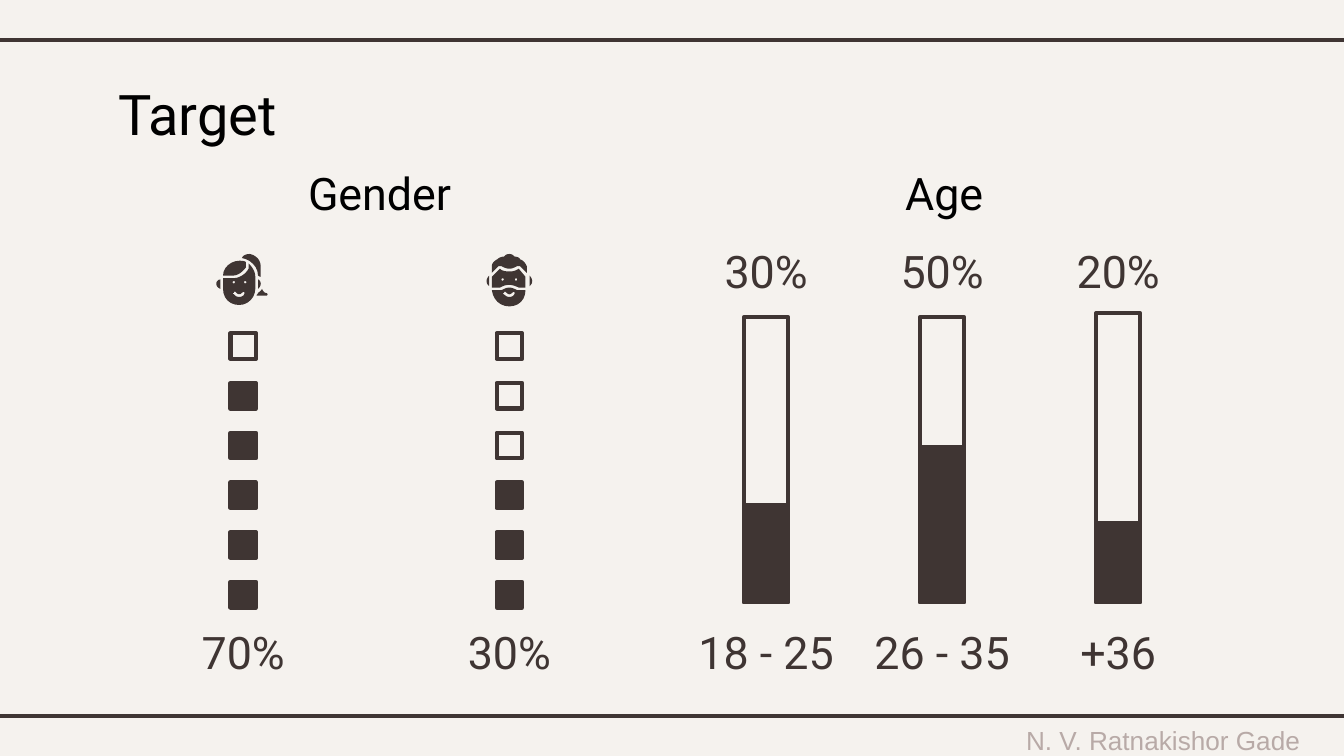
"""Build a slide on the target audience by gender and age."""
from math import cos, pi, sin

from pptx import Presentation
from pptx.dml.color import RGBColor
from pptx.enum.shapes import MSO_CONNECTOR, MSO_SHAPE
from pptx.enum.text import MSO_ANCHOR, PP_ALIGN
from pptx.oxml.ns import qn
from pptx.util import Inches, Pt

LINE, RECT = MSO_CONNECTOR.STRAIGHT, MSO_SHAPE.RECTANGLE
TOP, MIDDLE = MSO_ANCHOR.TOP, MSO_ANCHOR.MIDDLE
LEFT, CENTER = PP_ALIGN.LEFT, PP_ALIGN.CENTER

THEME = {
    "paper": RGBColor(0xF5, 0xF2, 0xEE),
    "ink": RGBColor(0x3F, 0x35, 0x33),
    "heading": RGBColor(0, 0, 0),
    "muted": RGBColor(0xB8, 0xAA, 0xA7),
    "font": "Roboto",
    "footer_font": "Arial",
    "title": 30,
    "label": 24,
    "footer": 14,
    "line": 2.25,
}

WIDTH = 10
HEIGHT = WIDTH * 9 / 16

TITLE = "Target"
FOOTER = "N. V. Ratnakishor Gade"
HEADINGS = [("Gender", 1.31), ("Age", 5.51)]
RULES, OVERHANG = [0.3, 5.33], 0.08

WOMAN = {
    "left": 1.61,
    "outlines": [
        "M 25 0 C 22 0 20 1 19 3 C 25 4 31 9 31 16 C 32 17 33 17 33 17 L 33 9 C 33 5 30 1 25 0",
        "M 34 26 C 33 28 32 28 31 29 C 31 30 30 30 30 31 L 37 31 C 39 31 38 29 37 29 C 36 29 35 28 34 26",
        "M 17 5 C 11 5 5 10 5 16 L 13 16 C 16 16 20 13 22 10 C 22 9 22 7 22 6 C 21 5 19 5 17 5",
        "M 31 19 L 31 26 C 32 25 33 24 33 22 C 33 21 32 19 31 19",
        "M 3 19 C 1 19 0 21 0 22 C 0 24 1 25 3 26",
    ],
    "eyed": "M 24 7 C 24 9 24 10 24 11 C 22 15 17 18 13 18 L 5 18 L 5 26 "
            "C 5 33 10 38 17 38 C 24 38 29 32 29 26 L 29 17 C 29 13 27 10 24 7",
    "eyes": [(13, 21), (21.5, 21)],
    "smiling": None,
}
MAN = {
    "left": 3.62,
    "outlines": [
        "M 2 16 C 1 17 0 19 0 20 C 0 22 1 23 2 24",
        "M 17 0 C 15 0 14 1 13 2 C 11 2 9 3 8 4 C 6 5 4 7 4 9 L 4 14 L 9 9 C 10 9 11 9 11 9 "
        "C 13 10 15 11 17 11 C 19 11 21 10 23 9 C 23 9 24 9 25 9 L 30 14 L 30 9 "
        "C 29 7 28 5 25 4 C 25 3 23 2 21 2 C 20 1 19 0 17 0",
        "M 32 16 L 32 24 C 33 23 34 22 34 20 C 34 19 33 17 32 16",
    ],
    "eyed": "M 10 11 L 4 17 L 4 25 L 10 25 C 12 24 14 23 17 23 C 19 23 22 24 24 25 "
            "L 29 25 L 29 17 L 24 11 C 21 13 19 13 17 13 C 15 13 12 13 10 11",
    "eyes": [(12, 19), (22, 19)],
    "smiling": "M 17 25 C 15 25 13 26 11 27 L 4 27 C 5 34 10 39 17 39 "
               "C 24 39 29 34 29 27 L 23 27 C 21 26 19 25 17 25",
}
SMILE = ("M 21 29 C 21 30 20 32 17 32 C 15 32 14 31 13 30 C 12 30 12 29 13 29 "
         "C 13 28 14 28 14 28 C 15 29 16 30 17 30 C 18 30 19 29 19 29 C 20 28 21 28 21 29")
ICON_TOP = 1.89

GENDERS = [("70%", 1.81, 5, WOMAN), ("30%", 3.79, 3, MAN)]
SQUARES, SQUARE, SQUARE_PITCH, SQUARE_BOTTOM = 6, 0.19, 0.37, 4.33

AGES = [("18 - 25", "30%", 2.12, 0.72), ("26 - 35", "50%", 2.12, 1.15), ("+36", "20%", 2.15, 0.59)]
AGE_X, AGE_PITCH, BAR, BAR_BASE = 5.7, 1.31, 0.33, 4.48


def write(s, text, size, color, font, align=CENTER, anchor=MIDDLE, inset=0.1):
    tf = s.text_frame
    tf.text = text
    tf.word_wrap = True
    tf.vertical_anchor = anchor
    tf.margin_left = tf.margin_right = tf.margin_top = tf.margin_bottom = Inches(inset)
    p = tf.paragraphs[0]
    p.alignment = align
    f = p.runs[0].font
    f.name, f.size, f.color.rgb = font, Pt(size), color


def add_label(slide, text, left, top, width, height, color):
    s = slide.shapes.add_textbox(Inches(left), Inches(top), Inches(width), Inches(height))
    write(s, text, THEME["label"], color, THEME["font"])


def add_box(slide, left, top, width, height, filled):
    s = slide.shapes.add_shape(RECT, Inches(left), Inches(top), Inches(width), Inches(height))
    s.shadow.inherit = False
    if filled:
        s.fill.solid()
        s.fill.fore_color.rgb = THEME["ink"]
    else:
        s.fill.background()
    s.line.color.rgb = THEME["ink"]
    s.line.width = Pt(THEME["line"])


def flatten(outline, steps=6):
    tokens = iter(outline.split())
    points = []
    for command in tokens:
        ends = [(float(next(tokens)), float(next(tokens))) for _ in range(3 if command == "C" else 1)]
        if command == "C":
            curve = [points[-1], *ends]
            for i in range(1, steps + 1):
                t = i / steps
                weights = ((1 - t) ** 3, 3 * t * (1 - t) ** 2, 3 * t * t * (1 - t), t ** 3)
                points.append(tuple(sum(w * c[k] for w, c in zip(weights, curve)) for k in (0, 1)))
        else:
            points += ends
    return points


def circle(x, y, radius=0.9, sides=12):
    return [(x + radius * cos(2 * pi * i / sides), y + radius * sin(2 * pi * i / sides)) for i in range(sides)]


def add_icon(slide, icon):
    parts = [[flatten(outline)] for outline in icon["outlines"]]
    face = [flatten(icon["eyed"])] + [circle(x, y) for x, y in icon["eyes"]]
    parts.append(face)
    if icon["smiling"]:
        parts.append([flatten(icon["smiling"]), flatten(SMILE)])
    else:
        face.append(flatten(SMILE))
    group = slide.shapes.add_group_shape()
    for contours in parts:
        scaled = [[(x * 100, y * 100) for x, y in c] for c in contours]
        builder = group.shapes.build_freeform(*scaled[0][0], scale=Inches(1) / 10000)
        builder.add_line_segments(scaled[0][1:], close=True)
        for hole in scaled[1:]:
            builder.move_to(*hole[0])
            builder.add_line_segments(hole[1:], close=True)
        s = builder.convert_to_shape(Inches(icon["left"]), Inches(ICON_TOP))
        s.shadow.inherit = False
        s.fill.solid()
        s.fill.fore_color.rgb = THEME["ink"]
        s.line.fill.background()


def main():
    prs = Presentation()
    prs.slide_width, prs.slide_height = Inches(WIDTH), Inches(HEIGHT)
    slide = prs.slides.add_slide(prs.slide_layouts[5])
    slide.background.fill.solid()
    slide.background.fill.fore_color.rgb = THEME["paper"]

    s = slide.shapes.add_textbox(Inches(7.31), Inches(5.41), Inches(2.69), Inches(0.19))
    write(s, FOOTER, THEME["footer"], THEME["muted"], THEME["footer_font"], inset=0)
    for y in RULES:
        c = slide.shapes.add_connector(LINE, Inches(-OVERHANG), Inches(y), Inches(WIDTH + OVERHANG), Inches(y))
        c.line.color.rgb = THEME["ink"]
        c.line.width = Pt(THEME["line"])
        c._element.spPr.append(c._element.makeelement(qn("a:effectLst"), {}))

    title = slide.shapes.title
    title.left, title.top, title.width, title.height = map(Inches, (0.78, 0.49, 8.44, 0.63))
    write(title, TITLE, THEME["title"], THEME["heading"], THEME["font"], LEFT, TOP)
    for text, left in HEADINGS:
        add_label(slide, text, left, 1.24, 3.03, 0.39, THEME["heading"])

    for share, x, filled, icon in GENDERS:
        add_icon(slide, icon)
        for i in range(SQUARES):
            add_box(slide, x - SQUARE / 2, SQUARE_BOTTOM - i * SQUARE_PITCH, SQUARE, SQUARE, i < filled)
        add_label(slide, share, x - 0.67, 4.65, 1.34, 0.39, THEME["ink"])

    for i, (age, share, height, level) in enumerate(AGES):
        x = AGE_X + i * AGE_PITCH
        for h, filled in ((height, False), (level, True)):
            add_box(slide, x - BAR / 2, BAR_BASE - h, BAR, h, filled)
        add_label(slide, share, x - 0.46, 1.87, 0.92, 0.29, THEME["ink"])
        add_label(slide, age, x - 0.67, 4.65, 1.34, 0.39, THEME["ink"])

    prs.save("out.pptx")


if __name__ == "__main__":
    main()
